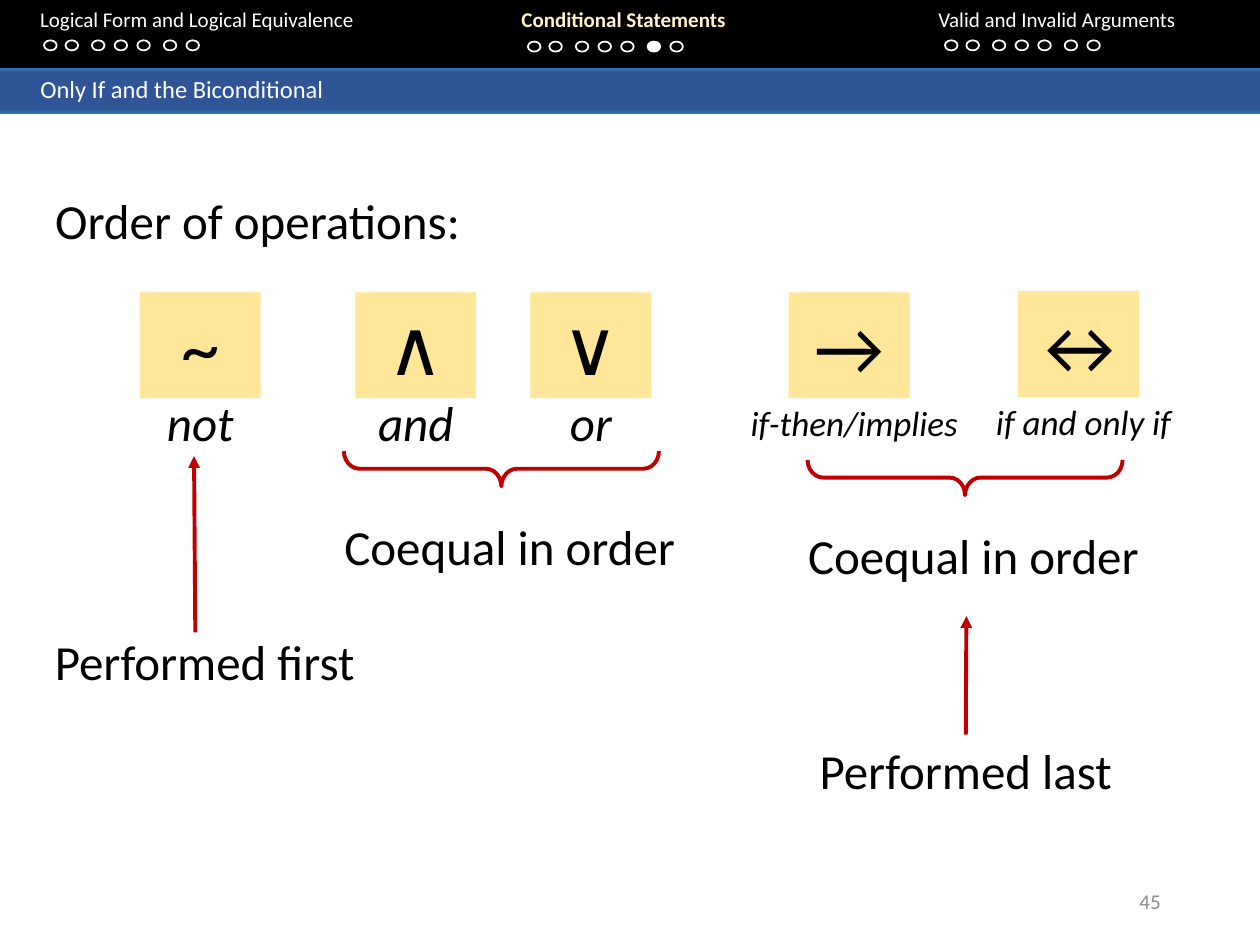
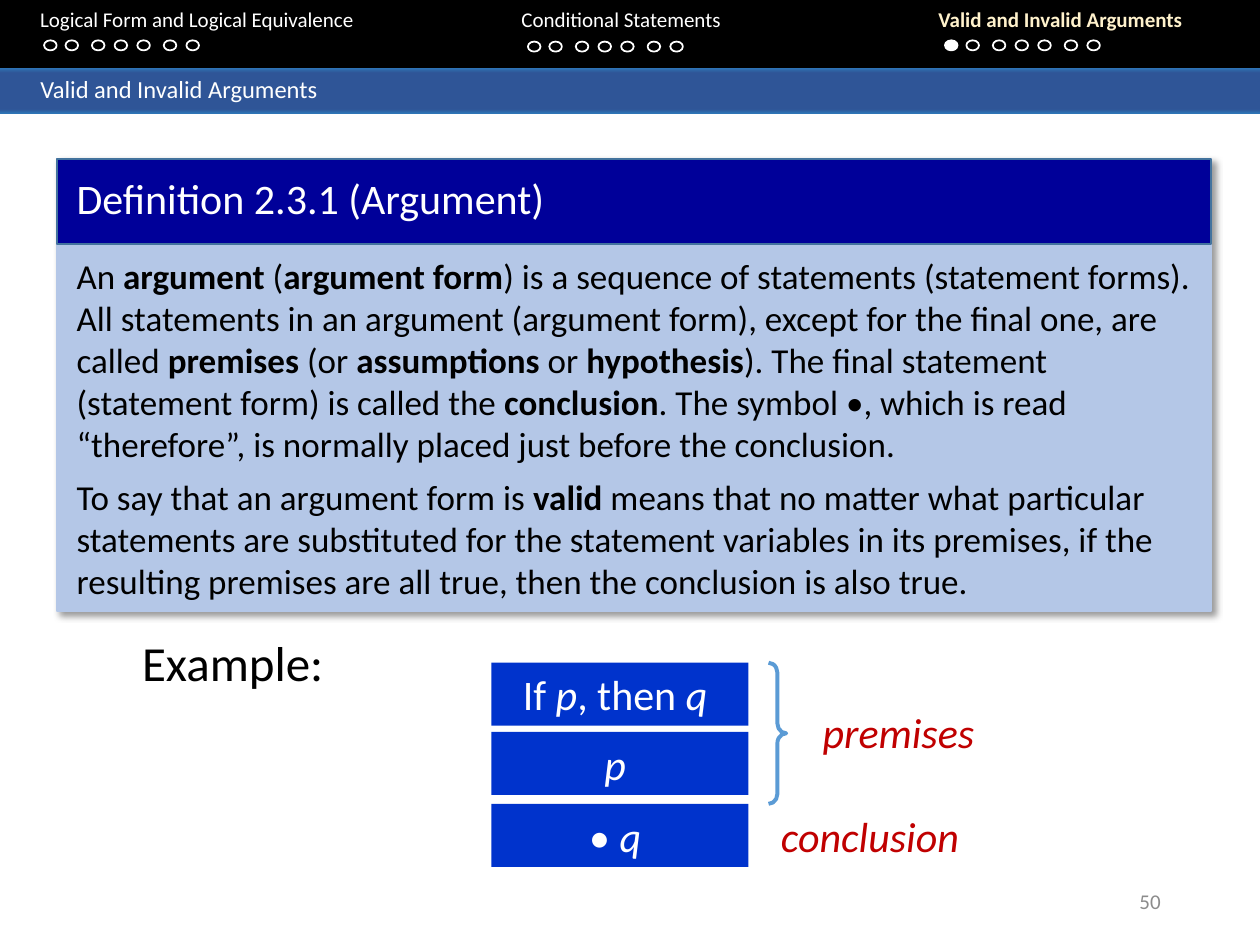
"""Build two lecture slides on conditional statements and arguments."""
from dataclasses import dataclass, replace
from typing import NamedTuple, Optional

import lxml.etree
import pptx
import pptx.dml.color
import pptx.enum.dml
import pptx.enum.shapes
import pptx.enum.text
import pptx.oxml.ns
import pptx.shapes.autoshape
import pptx.shapes.connector
import pptx.slide
import pptx.util

Inches = pptx.util.Inches
RGBColor = pptx.dml.color.RGBColor
Slide = pptx.slide.Slide
Shape = pptx.shapes.autoshape.Shape
Kind = pptx.enum.shapes.MSO_SHAPE
Align = pptx.enum.text.PP_ALIGN
Anchor = pptx.enum.text.MSO_ANCHOR
qn = pptx.oxml.ns.qn

FONT = "Calibri"
BLACK = RGBColor(0x00, 0x00, 0x00)
WHITE = RGBColor(0xFF, 0xFF, 0xFF)
CREAM = RGBColor(0xFF, 0xF2, 0xCC)
GOLD = RGBColor(0xFF, 0xE6, 0x99)
RED = RGBColor(0xC0, 0x00, 0x00)
GREY = RGBColor(0x8C, 0x8C, 0x8C)
NAVY = RGBColor(0x00, 0x00, 0x99)
ROYAL = RGBColor(0x00, 0x33, 0xCC)
SKY = RGBColor(0x5B, 0x9B, 0xD5)
STEEL = RGBColor(0x43, 0x73, 0x9E)
PALE = RGBColor(0xB4, 0xC7, 0xE7)
EDGE = RGBColor(0x2E, 0x75, 0xB6)
BLUE = RGBColor(0x2F, 0x55, 0x97)

BAND = ((0, EDGE), (11, BLUE), (91, BLUE), (100, EDGE))
DOTS = (0, 0.17, 0.38, 0.56, 0.74, 0.95, 1.13)


class Box(NamedTuple):
    """Left, top, width and height in inches."""
    left: float
    top: float
    width: float
    height: float


@dataclass(frozen=True)
class Style:
    """Look of a text; parts between asterisks are bold or italic."""
    size: int
    color: RGBColor = BLACK
    align: Align = Align.LEFT
    bold: bool = False
    after: int = 0


class Part(NamedTuple):
    """Heading of a lecture part with its row of dots."""
    name: str
    left: float
    dot: float
    top: float


class Tile(NamedTuple):
    """Logic sign with its reading below."""
    sign: str
    word: str
    left: float
    top: float
    wide: bool = False


class Step(NamedTuple):
    """Line of the sample argument."""
    text: str
    top: float


PARTS = (
    Part("Logical Form and Logical Equivalence", 0.22, 0.35, 0.32),
    Part("Conditional Statements", 4.04, 4.19, 0.33),
    Part("Valid and Invalid Arguments", 7.35, 7.5, 0.32),
)
TILES = (
    Tile("~", "not", 1.11, 2.32),
    Tile("∧", "and", 2.82, 2.32),
    Tile("∨", "or", 4.21, 2.32),
    Tile("→", "if-then/implies", 6.26, 2.32, True),
    Tile("↔", "if and only if", 8.08, 2.31, True),
)
STEPS = (
    Step("If *p*, then *q *", 5.26),
    Step("*p *", 5.81),
    Step("• *q *", 6.38),
)
TERMS = (
    "An *argument* (*argument form*) is a sequence of statements (statement "
    "forms). All statements in an argument (argument form), except for the "
    "final one, are called *premises* (or *assumptions* or *hypothesis*). "
    "The final statement (statement form) is called the *conclusion*. The "
    "symbol •, which is read “therefore”, is normally placed just before "
    "the conclusion.",
    "To say that an argument form is *valid* means that no matter what "
    "particular statements are substituted for the statement variables in "
    "its premises, if the resulting premises are all true, then the "
    "conclusion is also true.",
)

HEAD = Style(12, WHITE, bold=True)
PLAIN = Style(28)
MID = Style(28, align=Align.CENTER)
SIGN = Style(44, align=Align.CENTER)
STEP = Style(24, WHITE, Align.CENTER)
NOTE = Style(24, RED)


def write(shape: Shape, style: Style, *lines: str) -> None:
    """Fill a shape with styled paragraphs."""
    frame = shape.text_frame
    frame.word_wrap = True
    frame.vertical_anchor = Anchor.TOP
    for i, line in enumerate(lines):
        para = frame.add_paragraph() if i else frame.paragraphs[0]
        para.alignment = style.align
        para.space_after = pptx.util.Pt(style.after)
        bits = [(bit, n % 2 == 1) for n, bit in enumerate(line.split("*")) if bit]
        para.text = bits[0][0]
        for bit, _ in bits[1:]:
            para.add_run().text = bit
        for run, (_, strong) in zip(para.runs, bits):
            font = run.font
            font.name = FONT
            font.size = pptx.util.Pt(style.size)
            font.color.rgb = style.color
            font.bold = strong and style.bold
            font.italic = strong and not style.bold


def label(slide: Slide, box: Box, style: Style, *lines: str) -> Shape:
    """Add a text box."""
    shape = slide.shapes.add_textbox(*map(Inches, box))
    write(shape, style, *lines)
    return shape


def form(slide: Slide, kind: Kind, box: Box, fill: Optional[RGBColor] = None,
         line: Optional[RGBColor] = None, width: float = 1) -> Shape:
    """Add a flat preset shape."""
    shape = slide.shapes.add_shape(kind, *map(Inches, box))
    shape.shadow.inherit = False
    if fill is None:
        shape.fill.background()
    else:
        shape.fill.solid()
        shape.fill.fore_color.rgb = fill
    if line is None:
        shape.line.fill.background()
    else:
        shape.line.color.rgb = line
        shape.line.width = pptx.util.Pt(width)
    return shape


def blend(shape: Shape) -> None:
    """Give a shape the gradient of the title band."""
    shape.fill.gradient()
    shape.fill.gradient_angle = 270
    stops = shape.element.spPr.find(".//" + qn("a:gsLst"))
    for stop in list(stops):
        stops.remove(stop)
    for place, color in BAND:
        stop = lxml.etree.SubElement(stops, qn("a:gs"), pos=str(place * 1000))
        lxml.etree.SubElement(stop, qn("a:srgbClr"), val=str(color))


def shade(shape: Shape) -> None:
    """Cast a soft shadow to the lower right."""
    glow = shape.element.spPr.find(qn("a:effectLst"))
    cast = lxml.etree.SubElement(
        glow, qn("a:outerShdw"), blurRad=str(pptx.util.Pt(4)),
        dist=str(pptx.util.Pt(3)), dir="2700000", algn="tl", rotWithShape="0")
    tint = lxml.etree.SubElement(cast, qn("a:srgbClr"), val=str(BLACK))
    lxml.etree.SubElement(tint, qn("a:alpha"), val="40000")


def arrow(slide: Slide, start: tuple[float, float],
          end: tuple[float, float]) -> pptx.shapes.connector.Connector:
    """Add a red arrow."""
    link = slide.shapes.add_connector(
        pptx.enum.shapes.MSO_CONNECTOR.STRAIGHT, *map(Inches, start + end))
    link.line.color.rgb = RED
    link.line.width = pptx.util.Pt(2.25)
    lxml.etree.SubElement(link.line._get_or_add_ln(), qn("a:tailEnd"),
                          type="triangle")
    lxml.etree.SubElement(link.element.spPr, qn("a:effectLst"))
    return link


def start(deck: pptx.presentation.Presentation, title: str, page: int,
          part: int, dot: int) -> Slide:
    """Add a slide with the header, the title band and the page number."""
    slide = deck.slides.add_slide(deck.slide_layouts[6])
    form(slide, Kind.RECTANGLE, Box(0, -0.02, 10, 0.56), BLACK)
    band = form(slide, Kind.RECTANGLE, Box(0, 0.54, 10, 0.36), BLUE)
    blend(band)
    write(band, Style(14, WHITE), title)
    band.text_frame.margin_left = Inches(0.32)
    for i, item in enumerate(PARTS):
        live = i == part
        style = replace(HEAD, color=CREAM) if live else HEAD
        name = f"*{item.name}*" if live else item.name
        label(slide, Box(item.left, 0, 2.8, 0.3), style, name)
        for j, step in enumerate(DOTS):
            fill = WHITE if live and j == dot else None
            form(slide, Kind.OVAL, Box(item.dot + step, item.top, 0.1, 0.08),
                 fill, WHITE)
    foot = label(slide, Box(7.06, 6.95, 2.25, 0.4),
                 Style(12, GREY, Align.RIGHT), str(page))
    foot.text_frame.vertical_anchor = Anchor.MIDDLE
    return slide


def tile(slide: Slide, item: Tile) -> None:
    """Draw a logic sign and its reading."""
    box = Box(item.left, item.top, 0.96, 0.84)
    write(form(slide, Kind.RECTANGLE, box, GOLD), SIGN, item.sign)
    if item.wide:
        place, size = Box(item.left - 0.42, item.top + 0.82, 1.88, 0.44), 20
    else:
        place, size = Box(item.left, item.top + 0.75, 0.96, 0.57), 28
    label(slide, place, replace(MID, size=size), f"*{item.word}*")


def equal(slide: Slide, left: float, top: float) -> None:
    """Draw a caption under a lying brace."""
    label(slide, Box(left, top, 3.01, 0.57), MID, "Coequal in order")
    brace = form(slide, Kind.LEFT_BRACE,
                 Box(left + 1.3, top - 1.58, 0.28, 2.5), None, RED, 2.25)
    brace.rotation = 270
    brace.adjustments[0] = 0.44


def order(deck: pptx.presentation.Presentation) -> None:
    """Build the slide on the order of operations."""
    slide = start(deck, "Only If and the Biconditional", 45, 1, 5)
    label(slide, Box(0.34, 1.46, 4.27, 0.57), PLAIN, "Order of operations:")
    for item in TILES:
        tile(slide, item)
    equal(slide, 2.54, 4.05)
    equal(slide, 6.22, 4.12)
    label(slide, Box(0.12, 4.96, 3.01, 0.57), MID, "Performed first")
    arrow(slide, (1.55, 5.02), (1.54, 3.62))
    last = label(slide, Box(6.16, 5.83, 3.01, 0.57), MID, "Performed last")
    arrow(slide, (7.67, 5.83), (7.67, 4.89)).begin_connect(last, 0)


def proof(deck: pptx.presentation.Presentation) -> None:
    """Build the slide that defines an argument."""
    slide = start(deck, "Valid and Invalid Arguments", 50, 2, 0)
    shade(form(slide, Kind.RECTANGLE, Box(0.45, 1.26, 9.16, 3.59), PALE, PALE))
    form(slide, Kind.RECTANGLE, Box(0.45, 1.26, 9.16, 0.68), NAVY, STEEL)
    label(slide, Box(0.51, 1.32, 8.96, 0.5), Style(24, WHITE),
          "Definition 2.3.1 (Argument)")
    label(slide, Box(0.51, 1.97, 9.1, 2.88), Style(20, bold=True, after=6), *TERMS)
    label(slide, Box(1.03, 4.97, 1.93, 0.57), PLAIN, "Example:")
    for item in STEPS:
        box = Box(3.9, item.top, 2.04, 0.5)
        write(form(slide, Kind.RECTANGLE, box, ROYAL), STEP, item.text)
    brace = form(slide, Kind.RIGHT_BRACE, Box(6.1, 5.26, 0.14, 1.12),
                 None, SKY, 2.25)
    brace.adjustments[0] = 0.56
    label(slide, Box(6.43, 5.56, 1.49, 0.5), NOTE, "*premises*")
    label(slide, Box(6.1, 6.38, 1.76, 0.5), NOTE, "*conclusion*")


def main() -> None:
    """Build and save the deck."""
    deck = pptx.Presentation()
    deck.slide_width = Inches(10)
    deck.slide_height = Inches(7.5)
    order(deck)
    proof(deck)
    deck.save("out.pptx")


if __name__ == "__main__":
    main()
